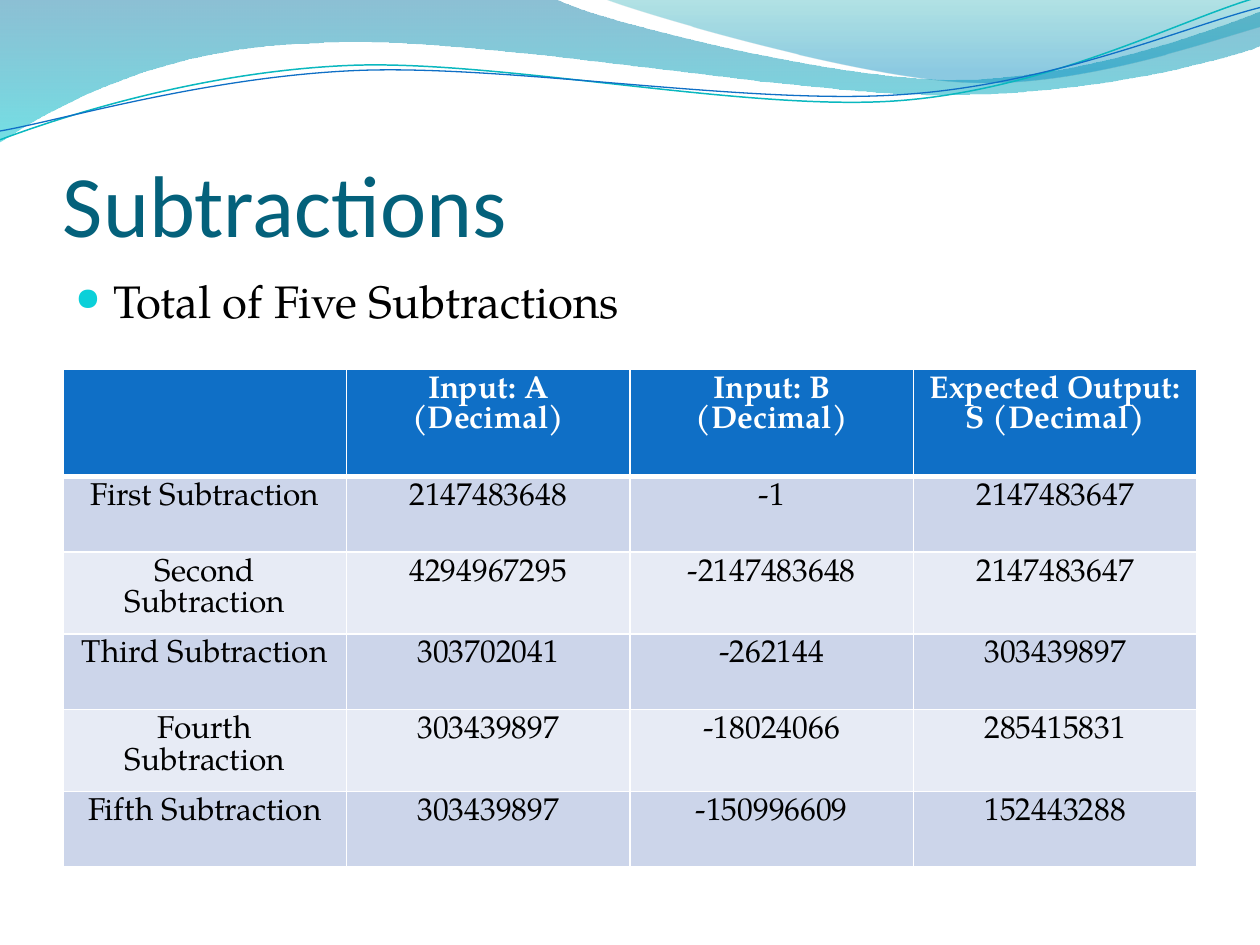
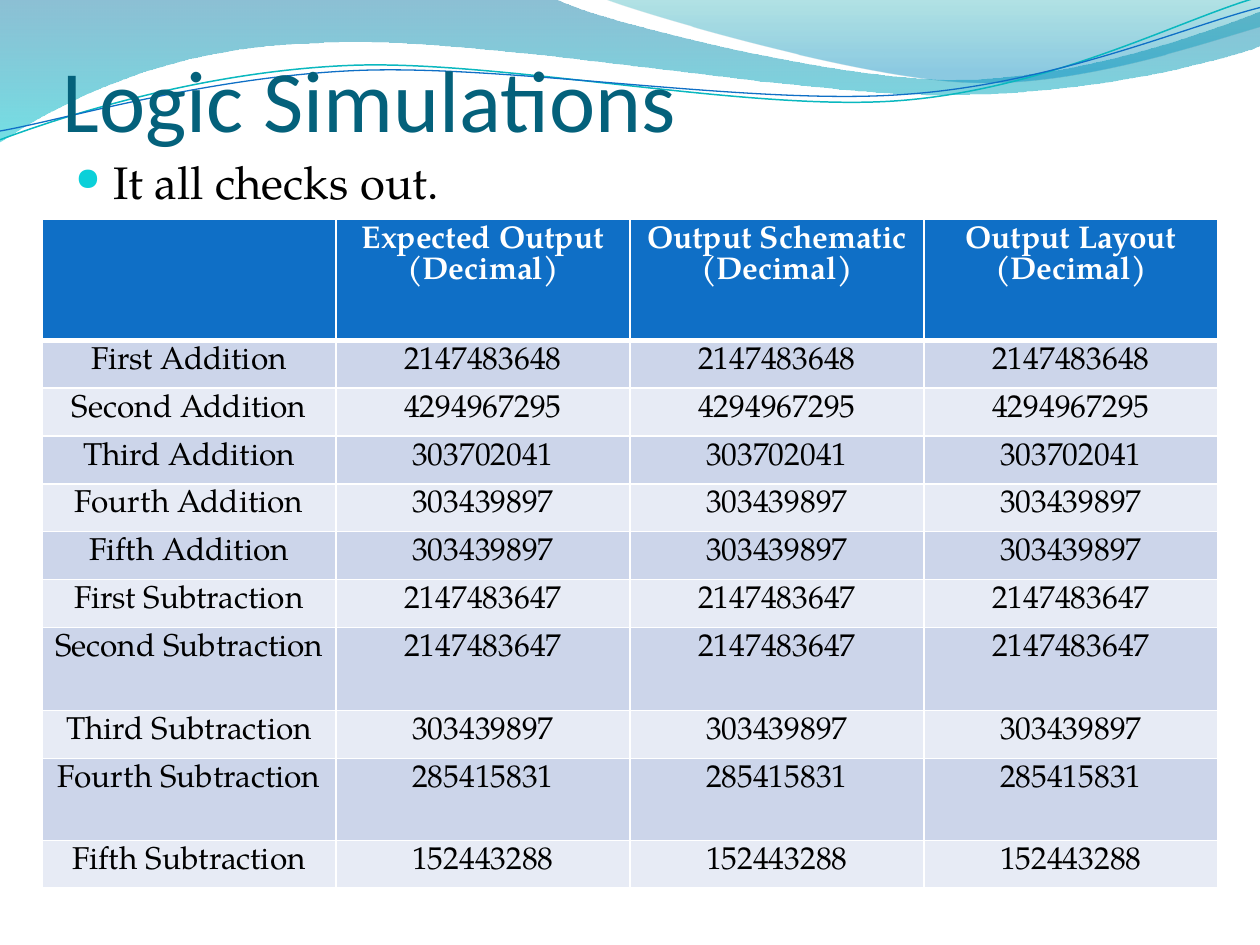
import copy

import pptx
import pptx.util
import pptx.dml.color
import pptx.enum.text
import pptx.oxml
import pptx.oxml.ns

Inches = pptx.util.Inches
qn = pptx.oxml.ns.qn
NAMESPACE = pptx.oxml.ns.nsdecls("a")
WIDTH, HEIGHT = 10, 7.5
MARGIN = WIDTH / 20
HEADING_FONT, BODY_FONT = "Calibri", "TeX Gyre Pagella"
HEADER_BLUE, TITLE_TEAL, BULLET_CYAN = "0F6FC6", "04617B", "0BD0D9"
BANDS = ("CCD5EA", "E7EBF5")
UNITS_PER_INCH = 100

# Each wave is a start point, then lines (one point) and Bézier curves (three points),
# in hundredths of an inch. Stops are position, colour, opacity in percent.
WAVES = [
    {"start": (0, 0), "segments": [
        [(440, -1)],
        [(476, 17), (664, 63), (758, 63)],
        [(853, 63), (958, 26), (1000, 9)],
        [(1001, 36)],
        [(983, 44), (870, 76), (746, 75)],
        [(622, 75), (382, 28), (257, 34)],
        [(129, 36), (46, 83), (-1, 113)],
        [(0, 0)]],
     "stops": [(0, "0074A1", 45), (1, "00C6CF", 55)]},
    {"start": (479, -1), "segments": [
        [(509, 11), (682, 62), (769, 65)],
        [(856, 69), (961, 32), (1000, 21)],
        [(1000, 0)],
        [(479, -1)]],
     "stops": [(0, "00A1A9", 30), (0.8, "008BBF", 45)]},
    {"start": (0, 111), "segments": [
        [(48, 93), (158, 57), (277, 52)],
        [(395, 47), (593, 89), (713, 80)],
        [(833, 71), (938, 15), (998, -2)]],
     "line": ("0AB8BF", 0.85)},
    {"start": (0, 104), "segments": [
        [(47, 96), (164, 61), (283, 56)],
        [(403, 51), (597, 84), (717, 75)],
        [(836, 67), (941, 21), (1000, 6)]],
     "line": (HEADER_BLUE, 0.75)},
]

ADDITION_RESULTS = ["2147483648", "4294967295", "303702041", "303439897", "303439897"]
SUBTRACTION_RESULTS = ["2147483647", "2147483647", "303439897", "285415831", "152443288"]
SUBTRAHENDS = ["-1", "-2147483648", "-262144", "-18024066", "-150996609"]
ORDINALS = ["First", "Second", "Third", "Fourth", "Fifth"]
additions = [f"{ordinal} Addition" for ordinal in ORDINALS]
subtractions = [f"{ordinal} Subtraction" for ordinal in ORDINALS]

SLIDES = [
    {"title": "Subtractions", "title_top": 0.77, "title_height": 1.25,
     "bullet": "Total of Five Subtractions", "bullet_top": 2.12, "bullet_height": 0.72,
     "table_left": MARGIN, "table_top": 2.93,
     "header": ["", "Input: A (Decimal)", "Input: B (Decimal)", "Expected Output: S (Decimal)"],
     "rows": list(zip(subtractions, ADDITION_RESULTS, SUBTRAHENDS, SUBTRACTION_RESULTS)),
     "header_height": 0.85, "row_height": 0.6, "tall_rows": {}},
    {"title": "Logic Simulations", "title_top": 0.25, "title_height": 0.94,
     "bullet": "It all checks out.", "bullet_top": 1.17, "bullet_height": 0.55,
     "table_left": WIDTH / 30, "table_top": 1.74,
     "header": ["", "Expected Output (Decimal)", "Output Schematic (Decimal)",
                "Output Layout (Decimal)"],
     "rows": [(name, result, result, result) for name, result in
              zip(additions + subtractions, ADDITION_RESULTS + SUBTRACTION_RESULTS)],
     "header_height": 0.96, "row_height": 0.38, "tall_rows": {7: 0.66, 9: 0.65}},
]


def color(hex_code):
    return pptx.dml.color.RGBColor.from_string(hex_code)


def write(frame, text, *, size, font, ink="000000", bold=False, align=None, bullet=None):
    """Put one formatted paragraph into a text frame."""
    frame.word_wrap = True
    paragraph = frame.paragraphs[0]
    paragraph.alignment = align
    if bullet:
        properties = paragraph._p.get_or_add_pPr()
        properties.set("marL", str(Inches(0.3)))
        properties.set("indent", str(-Inches(0.3)))
        for element in (f'<a:buClr {NAMESPACE}><a:srgbClr val="{bullet}"/></a:buClr>',
                        f'<a:buSzPct {NAMESPACE} val="70000"/>',
                        f'<a:buChar {NAMESPACE} char="●"/>'):
            properties.append(pptx.oxml.parse_xml(element))
    run = paragraph.add_run()
    run.text = text
    run.font.size = pptx.util.Pt(size)
    run.font.name = font
    run.font.bold = bold
    run.font.color.rgb = color(ink)
    # The paragraph end carries the run's format so that row heights follow its font.
    ending = copy.deepcopy(run.font._element)
    ending.tag = qn("a:endParaRPr")
    paragraph._p.append(ending)


presentation = pptx.Presentation()
presentation.slide_width, presentation.slide_height = Inches(WIDTH), Inches(HEIGHT)

for content in SLIDES:
    slide = presentation.slides.add_slide(presentation.slide_layouts[6])

    for wave in WAVES:
        builder = slide.shapes.build_freeform(*wave["start"], scale=Inches(1) / UNITS_PER_INCH)
        builder.add_line_segments([point for segment in wave["segments"] for point in segment],
                                  close="stops" in wave)
        shape = builder.convert_to_shape()
        shape.shadow.inherit = False

        # Join the three points of each curve into one Bézier segment.
        lines = iter(list(shape._element.iter(qn("a:lnTo"))))
        for segment in wave["segments"]:
            members = [next(lines) for point in segment]
            if len(members) == 3:
                curve = pptx.oxml.parse_xml(f"<a:cubicBezTo {NAMESPACE}/>")
                members[0].addprevious(curve)
                for member in members:
                    curve.append(member[0])
                    member.getparent().remove(member)

        if "stops" in wave:
            shape.line.fill.background()
            shape.fill.gradient()
            shape.fill.gradient_angle = 270
            for stop, (position, tint, opacity) in zip(shape.fill.gradient_stops, wave["stops"]):
                stop.position = position
                stop.color.rgb = color(tint)
                stop._gs.find(qn("a:srgbClr")).append(pptx.oxml.parse_xml(
                    f'<a:alpha {NAMESPACE} val="{opacity * 1000}"/>'))
        else:
            tint, weight = wave["line"]
            shape.fill.background()
            shape.line.color.rgb = color(tint)
            shape.line.width = pptx.util.Pt(weight)

    title = slide.shapes.add_textbox(
        Inches(MARGIN), Inches(content["title_top"]),
        Inches(WIDTH - 2 * MARGIN), Inches(content["title_height"])).text_frame
    title.margin_left = title.margin_right = title.margin_bottom = 0
    title.vertical_anchor = pptx.enum.text.MSO_ANCHOR.BOTTOM
    write(title, content["title"], size=50, font=HEADING_FONT, ink=TITLE_TEAL)

    body = slide.shapes.add_textbox(
        Inches(MARGIN), Inches(content["bullet_top"]),
        Inches(WIDTH - 2 * MARGIN), Inches(content["bullet_height"])).text_frame
    write(body, content["bullet"], size=26, font=BODY_FONT, bullet=BULLET_CYAN)

    rows = [content["header"], *content["rows"]]
    heights = [content["header_height"]] + [
        content["tall_rows"].get(number, content["row_height"]) for number in range(1, len(rows))]
    table_width = WIDTH - 2 * content["table_left"]
    table = slide.shapes.add_table(
        len(rows), len(rows[0]), Inches(content["table_left"]), Inches(content["table_top"]),
        Inches(table_width), Inches(sum(heights))).table
    for column in table.columns:
        column.width = Inches(table_width / len(rows[0]))

    for row_number, (values, height) in enumerate(zip(rows, heights)):
        table.rows[row_number].height = Inches(height)
        is_header = row_number == 0
        for column_number, value in enumerate(values):
            cell = table.cell(row_number, column_number)
            cell.margin_bottom = 0
            for side in "LRTB":
                under_header = (side, row_number) in (("B", 0), ("T", 1))
                border = pptx.util.Pt(3 if under_header else 1)
                cell._tc.get_or_add_tcPr().append(pptx.oxml.parse_xml(
                    f'<a:ln{side} {NAMESPACE} w="{border}"><a:solidFill>'
                    f'<a:srgbClr val="FFFFFF"/></a:solidFill></a:ln{side}>'))
            cell.fill.solid()
            cell.fill.fore_color.rgb = color(HEADER_BLUE if is_header else BANDS[(row_number - 1) % 2])
            if value:
                write(cell.text_frame, value, size=18, font=BODY_FONT, bold=is_header,
                      ink="FFFFFF" if is_header else "000000",
                      align=pptx.enum.text.PP_ALIGN.CENTER)

presentation.save("out.pptx")
